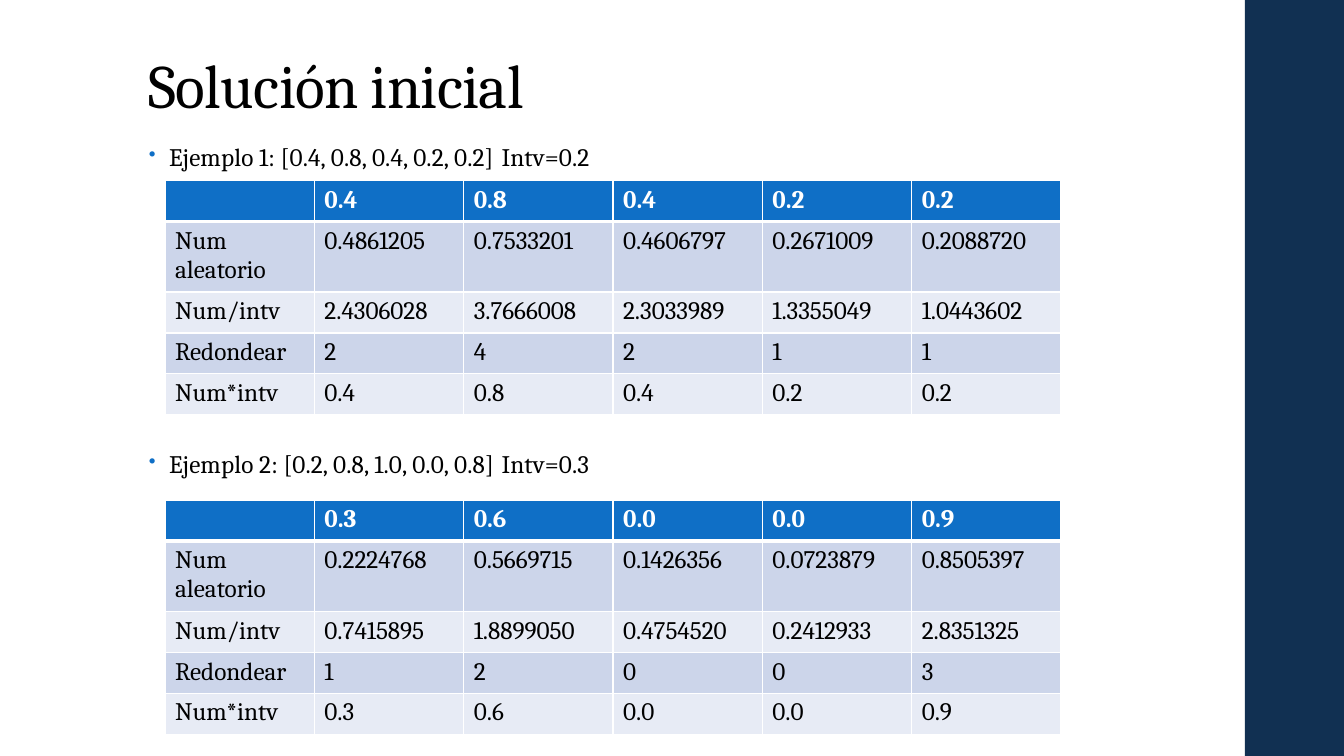
from lxml.etree import SubElement
from pptx import Presentation
from pptx.dml.color import RGBColor
from pptx.enum.shapes import MSO_SHAPE as Shape
from pptx.enum.text import MSO_ANCHOR as Anchor
from pptx.oxml.ns import qn
from pptx.util import Cm, Pt

FONT = "Cambria"
BLACK, WHITE, NAVY, BLUE = "000000", "FFFFFF", "113052", "0F6FC6"
BANDS = ["E7EBF5", "CCD5EA"]
ROW_LABELS = ["Num aleatorio", "Num/intv", "Redondear", "Num*intv"]
CAPTIONS = [
    "Ejemplo 1: [0.4, 0.8, 0.4, 0.2, 0.2]\tIntv=0.2",
    "Ejemplo 2: [0.2, 0.8, 1.0, 0.0, 0.8]\tIntv=0.3",
]
EXAMPLE_1 = [
    ["0.4", "0.8", "0.4", "0.2", "0.2"],
    ["0.4861205", "0.7533201", "0.4606797", "0.2671009", "0.2088720"],
    ["2.4306028", "3.7666008", "2.3033989", "1.3355049", "1.0443602"],
    ["2", "4", "2", "1", "1"],
    ["0.4", "0.8", "0.4", "0.2", "0.2"],
]
EXAMPLE_2 = [
    ["0.3", "0.6", "0.0", "0.0", "0.9"],
    ["0.2224768", "0.5669715", "0.1426356", "0.0723879", "0.8505397"],
    ["0.7415895", "1.8899050", "0.4754520", "0.2412933", "2.8351325"],
    ["1", "2", "0", "0", "3"],
    ["0.3", "0.6", "0.0", "0.0", "0.9"],
]


def rgb(color):
    return RGBColor.from_string(color)


def write(paragraph, text, size, color=BLACK, bold=False):
    paragraph.text = text
    font = paragraph.font
    font.name, font.size, font.bold = FONT, Pt(size), bold
    font.color.rgb = rgb(color)


def add_bullet(paragraph):
    """Hang the paragraph from a small blue bullet."""
    properties = paragraph._p.get_or_add_pPr()
    properties.set("marL", str(Cm(0.51)))
    properties.set("indent", str(Cm(-0.51)))
    bullet_color = properties.makeelement(qn("a:buClr"))
    SubElement(bullet_color, qn("a:srgbClr"), val=BLUE)
    bullet_size = properties.makeelement(qn("a:buSzPct"), val="80000")
    bullet = properties.makeelement(qn("a:buChar"), char="•")
    default_font = properties.find(qn("a:defRPr"))
    for part in (bullet_color, bullet_size, bullet):
        default_font.addprevious(part)


def add_borders(cell, top, bottom):
    """Draw white cell edges, with top and bottom widths in points."""
    properties = cell._tc.get_or_add_tcPr()
    for side, width in zip("LRTB", (1, 1, top, bottom)):
        line = SubElement(properties, qn(f"a:ln{side}"), w=str(Pt(width)))
        fill = SubElement(line, qn("a:solidFill"))
        SubElement(fill, qn("a:srgbClr"), val=WHITE)


def add_side_band(slide, left, top, width, height):
    band = slide.shapes.add_shape(Shape.RECTANGLE, left, top, width, height)
    band.shadow.inherit = False
    band.fill.solid()
    band.fill.fore_color.rgb = rgb(NAVY)
    band.line.fill.background()


def add_title(slide, left, top, width, height):
    frame = slide.shapes.add_textbox(left, top, width, height).text_frame
    frame.word_wrap = True
    frame.vertical_anchor = Anchor.BOTTOM
    title = frame.paragraphs[0]
    write(title, "Solución inicial", 44)
    title.line_spacing = 0.9
    title.runs[0].font._element.set("spc", "-50")


def add_captions(slide, left, top, width, height):
    frame = slide.shapes.add_textbox(left, top, width, height).text_frame
    frame.word_wrap = True
    first, second = frame.paragraphs[0], frame.add_paragraph()
    for caption, text in zip((first, second), CAPTIONS):
        write(caption, text, 18)
        caption.line_spacing = 0.95
        caption.space_after = Pt(2)
        caption.runs[0].font._element.set("spc", "10")
        add_bullet(caption)
    second.space_before = Pt(197)


def add_example(slide, values, left, top, width, height):
    """Tabulate one example; its second row is tall enough for two lines."""
    labels = ["", *ROW_LABELS]
    columns = len(values[0]) + 1
    table = slide.shapes.add_table(
        len(labels), columns, left, top, width, height).table
    row_height = Cm(1.03)
    tall_row_height = height - (len(labels) - 1) * row_height
    for r, (label, numbers) in enumerate(zip(labels, values)):
        table.rows[r].height = tall_row_height if r == 1 else row_height
        header = r == 0
        for c, text in enumerate([label, *numbers]):
            cell = table.cell(r, c)
            add_borders(cell, 3 if r == 1 else 1, 3 if header else 1)
            cell.fill.solid()
            cell.fill.fore_color.rgb = rgb(BLUE if header else BANDS[r % 2])
            write(cell.text_frame.paragraphs[0], text, 18,
                  WHITE if header else BLACK, header)


def main():
    deck = Presentation()
    deck.slide_width, deck.slide_height = Cm(33.87), Cm(19.05)
    slide = deck.slides.add_slide(deck.slide_layouts[6])
    add_side_band(slide, Cm(31.37), 0, Cm(2.5), deck.slide_height)
    add_title(slide, Cm(3.5), Cm(1.02), Cm(26.92), Cm(2.18))
    add_captions(slide, Cm(3.5), Cm(3.48), Cm(23.88), Cm(12.1))
    for values, top in ((EXAMPLE_1, 4.55), (EXAMPLE_2, 12.6)):
        add_example(slide, values, Cm(4.16), Cm(top), Cm(22.58), Cm(5.87))
    deck.save("out.pptx")


if __name__ == "__main__":
    main()
